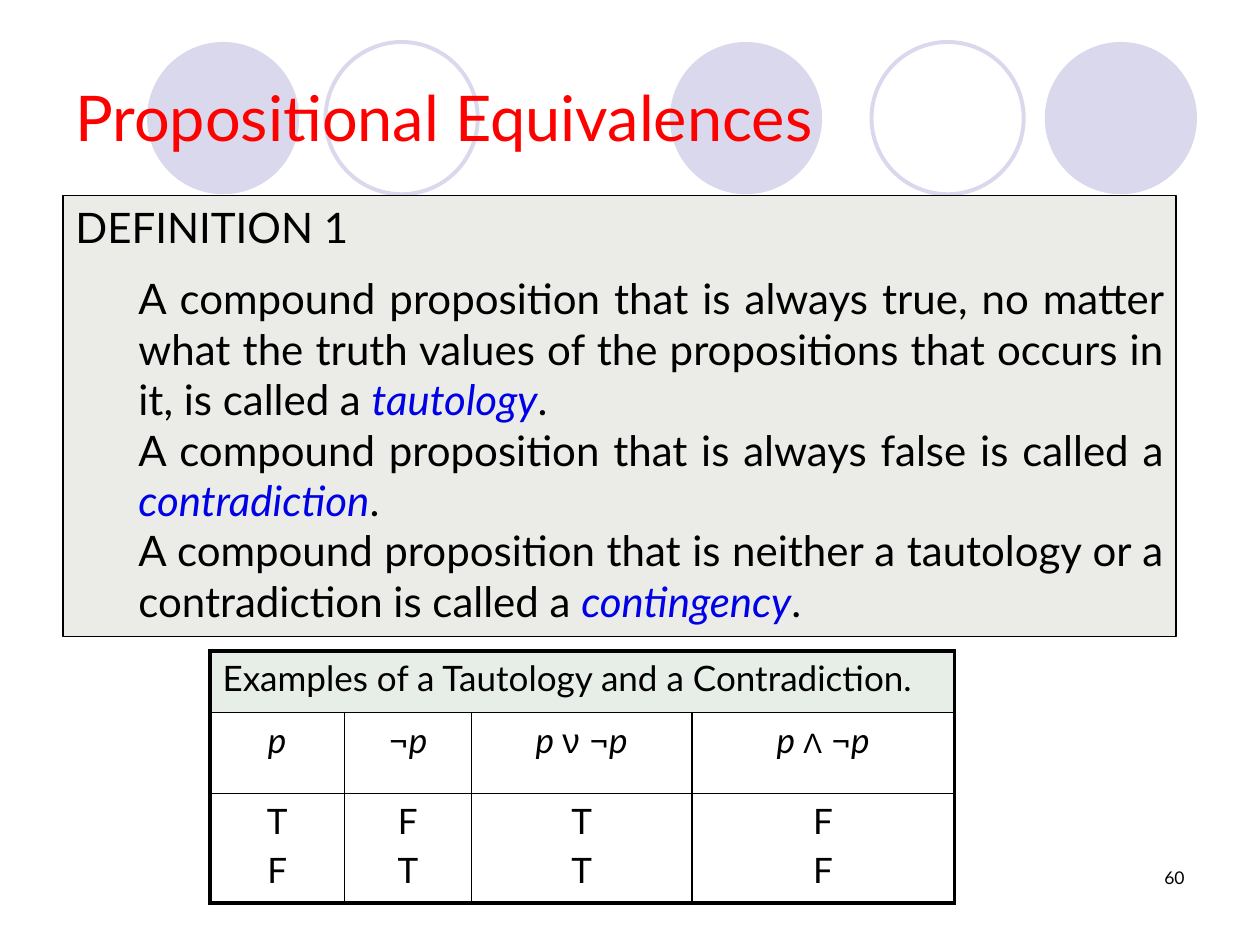
import collections
import dataclasses

import pptx
import pptx.dml.color
import pptx.enum.shapes
import pptx.enum.text
import pptx.oxml
import pptx.oxml.ns
import pptx.util

ALIGN = pptx.enum.text.PP_ALIGN
SHAPE = pptx.enum.shapes.MSO_SHAPE
Box = collections.namedtuple("Box", "x y w h")  # in grid columns and rows


@dataclasses.dataclass(frozen=True)
class Theme:
    font: str = "Lato"
    symbol_font: str = "Arial"
    ink: str = "000000"
    title: str = "FF0000"
    term: str = "0000E6"
    circle: str = "D9D8EC"
    panel: str = "EBECE8"
    caption: str = "E7EDE7"
    title_size: int = 36
    body_size: int = 24
    table_size: int = 20
    wedge_size: int = 16
    number_size: int = 10
    thin: float = 0.75
    inner: float = 1
    outer: float = 2.25


T = Theme()


def grid(n):
    """The slide is a grid of 60 columns by 45 rows, six to the inch."""
    return pptx.util.Inches(n / 6)


def place(box):
    return [grid(n) for n in box]


def rgb(value):
    return pptx.dml.color.RGBColor.from_string(value)


def write(p, runs, size, align=ALIGN.LEFT, color=T.ink):
    """Fill a paragraph with runs; each run is (text, changes of style)."""
    p.alignment = align
    for text, style in runs:
        r = p.add_run()
        r.text = text
        r.font.name = style.get("font", T.font)
        r.font.size = pptx.util.Pt(style.get("size", size))
        r.font.italic = style.get("italic", False)
        r.font.color.rgb = rgb(style.get("color", color))


def add_text(s, box, text, size, align, anchor, color=T.ink):
    tf = s.shapes.add_textbox(*place(box)).text_frame
    tf.word_wrap = True
    tf.vertical_anchor = anchor
    write(tf.paragraphs[0], [(text, {})], size, align, color)


def add_circles(s, box):
    # Offset within the band, and whether the circle is filled
    for dx, solid in [(24.9, True), (42.75, True), (0, True), (34.5, False), (8.5, False)]:
        sp = s.shapes.add_shape(SHAPE.OVAL, *place(Box(box.x + dx, box.y, box.h, box.h)))
        sp.shadow.inherit = False
        if solid:
            sp.fill.solid()
            sp.fill.fore_color.rgb = rgb(T.circle)
            sp.line.fill.background()
        else:
            sp.fill.background()
            sp.line.color.rgb = rgb(T.circle)
            sp.line.width = pptx.util.Pt(T.outer)


def add_definition(s, box):
    sp = s.shapes.add_shape(SHAPE.RECTANGLE, *place(box))
    sp.shadow.inherit = False
    sp.fill.solid()
    sp.fill.fore_color.rgb = rgb(T.panel)
    sp.line.color.rgb = rgb(T.ink)
    sp.line.width = pptx.util.Pt(T.thin)
    tf = sp.text_frame
    tf.word_wrap = True
    tf.vertical_anchor = pptx.enum.text.MSO_ANCHOR.TOP
    write(tf.paragraphs[0], [("DEFINITION 1", {})], T.body_size, ALIGN.JUSTIFY)
    definitions = [
        ("A compound proposition that is always true, no matter what the truth values "
         "of the propositions that occurs in it, is called a ", "tautology"),
        ("A compound proposition that is always false is called a ", "contradiction"),
        ("A compound proposition that is neither a tautology or a contradiction "
         "is called a ", "contingency"),
    ]
    for i, (meaning, term) in enumerate(definitions):
        p = tf.add_paragraph()
        p.level = 1
        pPr = p._p.get_or_add_pPr()
        pPr.set("marL", str(grid(3)))
        pPr.set("indent", "0")
        p.space_before = pptx.util.Pt(0 if i else 12)
        runs = [(meaning, {}), (term, {"italic": True, "color": T.term}), (".", {})]
        write(p, runs, T.body_size, ALIGN.JUSTIFY)


def set_borders(cell, widths):
    tcPr = cell._tc.get_or_add_tcPr()
    for side, width in zip("LRTB", widths):
        tcPr.append(pptx.oxml.parse_xml(
            f'<a:ln{side} {pptx.oxml.ns.nsdecls("a")} w="{pptx.util.Pt(width)}">'
            f'<a:solidFill><a:srgbClr val="{T.ink}"/></a:solidFill></a:ln{side}>'))


def add_truth_table(s, box):
    var, neg = ("p", {"italic": True}), ("¬", {})
    lead, spaced_neg = ("p ", {"italic": True}), (" ¬", {})
    vee = ("ν", {"font": T.symbol_font})
    wedge = ("Λ", {"font": T.symbol_font, "size": T.wedge_size})
    # Each cell is a list of paragraphs, each paragraph a list of runs
    rows = [
        [[[("Examples of a Tautology and a Contradiction.", {})]]],
        [[[var]], [[neg, var]], [[lead, vee, spaced_neg, var]], [[lead, wedge, spaced_neg, var]]],
        [[[(value, {})] for value in column] for column in ("TF", "FT", "TT", "FF")],
    ]
    col_widths, row_heights = [6.4, 6.05, 10.5, 12.5], [2.93, 3.85, 5.22]
    last_row, last_col = len(row_heights) - 1, len(col_widths) - 1

    frame = s.shapes.add_table(len(row_heights), len(col_widths), *place(box))
    table = frame.table
    table.first_row = table.horz_banding = False
    for column, width in zip(table.columns, col_widths):
        column.width = grid(width)
    for row, height in zip(table.rows, row_heights):
        row.height = grid(height)
    table.cell(0, 0).merge(table.cell(0, last_col))

    for i, row in enumerate(rows):
        for j, paragraphs in enumerate(row):
            cell = table.cell(i, j)
            edges = (j == 0, j == last_col or i == 0, i == 0, i == last_row)
            set_borders(cell, [T.outer if edge else T.inner for edge in edges])
            if i == 0:
                cell.fill.solid()
                cell.fill.fore_color.rgb = rgb(T.caption)
            else:
                cell.fill.background()
            tf = cell.text_frame
            for k, runs in enumerate(paragraphs):
                p = tf.add_paragraph() if k else tf.paragraphs[0]
                if k:
                    p.space_before = pptx.util.Pt(T.table_size * 0.2)
                write(p, runs, T.table_size, ALIGN.CENTER if i else ALIGN.LEFT)


def main():
    prs = pptx.Presentation()
    prs.slide_width, prs.slide_height = grid(60), grid(45)
    s = prs.slides.add_slide(prs.slide_layouts[6])
    anchor = pptx.enum.text.MSO_ANCHOR

    # Heading over the band of circles
    add_circles(s, Box(7, 2, 50, 7.25))
    add_text(s, Box(3, 1.8, 54, 7.5), "Propositional Equivalences",
             T.title_size, ALIGN.LEFT, anchor.MIDDLE, T.title)
    # Truth table and slide number
    add_truth_table(s, Box(10, 31, 35.45, 12))
    add_text(s, Box(43, 41, 14, 3), "60", T.number_size, ALIGN.RIGHT, anchor.TOP)
    # Definition panel
    add_definition(s, Box(3, 9.3, 53, 21))

    prs.save("out.pptx")


if __name__ == "__main__":
    main()
